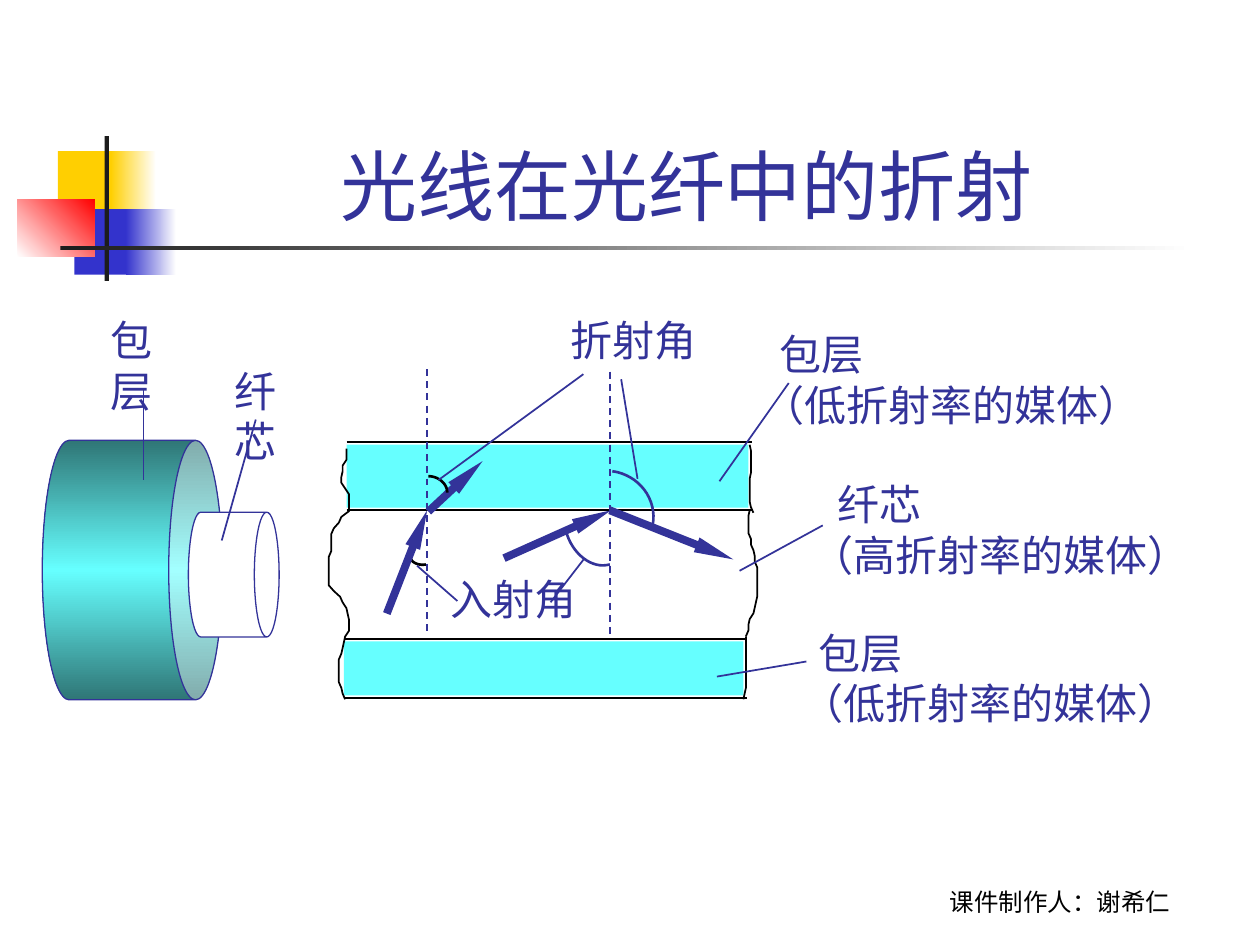
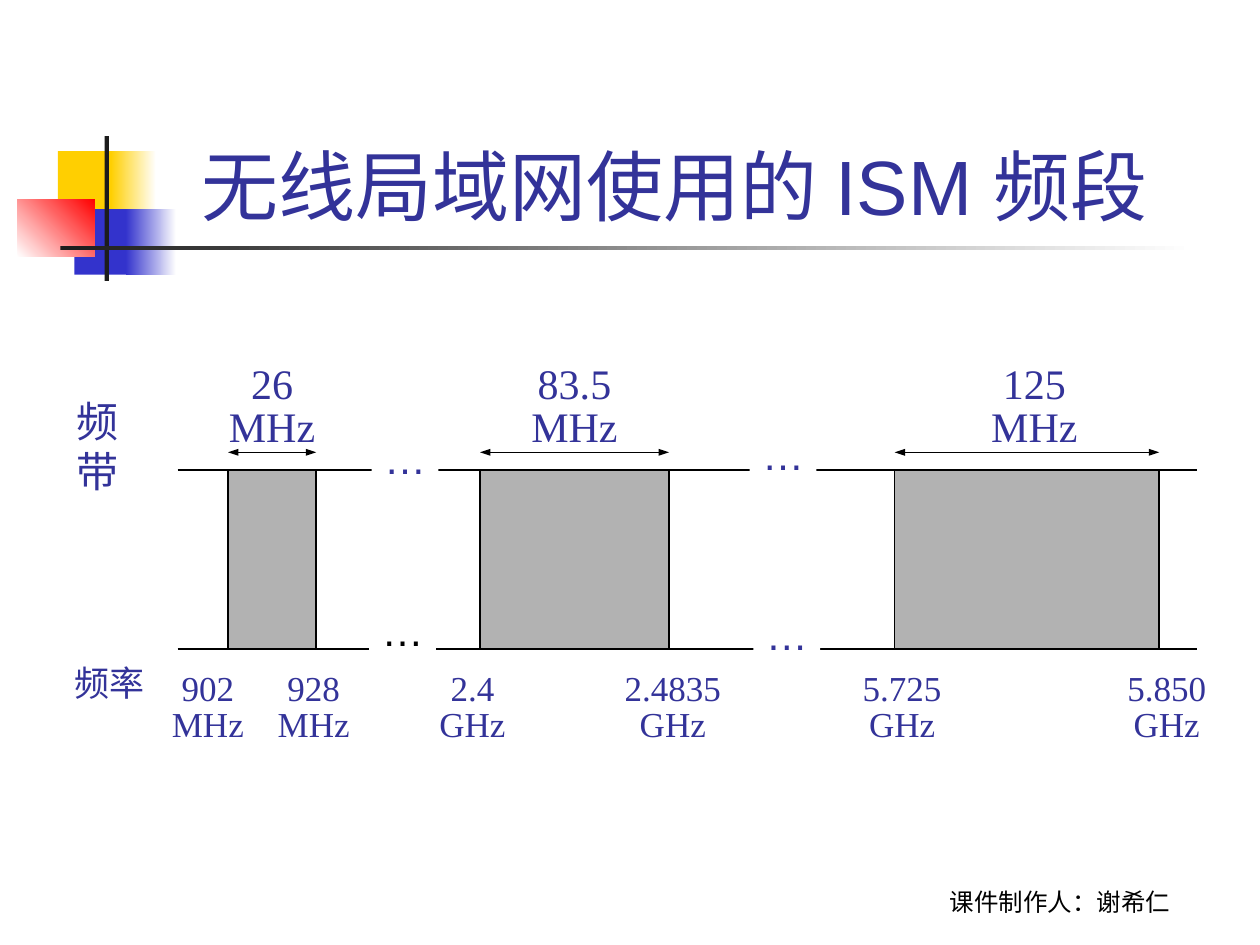
import pptx
import pptx.util
import pptx.dml.color
import pptx.enum.dml
import pptx.enum.shapes
import pptx.enum.text
import pptx.oxml.ns
import lxml.etree

INK = {
    "text": "333399", "black": "000000", "white": "FFFFFF", "gold": "FFCF01",
    "blue": "3333CC", "red": "FF0000", "dark": "1C1C1C", "aqua": "66FFFF",
    "teal": "2F7676", "gray": "B2B2B2",
}
COLS, ROWS = 100, 75
FORM = pptx.enum.shapes.MSO_SHAPE
ALIGN = pptx.enum.text.PP_ALIGN
ANCHOR = pptx.enum.text.MSO_ANCHOR


def tint(name):
    return pptx.dml.color.RGBColor.from_string(INK[name])


def node(parent, tag, **attrs):
    return lxml.etree.SubElement(parent, pptx.oxml.ns.qn(tag), attrs)


def write(frame, text, size=24, font="Arial", ink="text", align="LEFT",
          anchor="TOP", wrap=False, pad=(0.1, 0.05), space=None, indent=0):
    frame.word_wrap = wrap
    frame.vertical_anchor = ANCHOR[anchor]
    frame.margin_left = frame.margin_right = pptx.util.Inches(pad[0])
    frame.margin_top = frame.margin_bottom = pptx.util.Inches(pad[1])
    for i, words in enumerate(text.split("\n")):
        para = frame.add_paragraph() if i else frame.paragraphs[0]
        para.alignment = ALIGN[align]
        if space:
            para.line_spacing = space
        if indent and i == 0:
            para._p.get_or_add_pPr().set("marL", str(pptx.util.Inches(indent)))
        run = para.add_run()
        run.text = words
        run.font.size = pptx.util.Pt(size)
        run.font.name = font
        run.font.color.rgb = tint(ink)


class Deck:
    def __init__(self):
        self.show = pptx.Presentation()
        self.show.slide_width = pptx.util.Inches(10)
        self.show.slide_height = pptx.util.Inches(7.5)
        self.slide = None

    def x(self, col):
        return int(self.show.slide_width * col / COLS)

    def y(self, row):
        return int(self.show.slide_height * row / ROWS)

    def box(self, at):
        left, top, width, height = at
        return self.x(left), self.y(top), self.x(width), self.y(height)

    def page(self, title, left=12.6, align="CENTER"):
        self.slide = self.show.slides.add_slide(self.show.slide_layouts[6])
        self.shape((4.6, 12, 4.8, 5.2), "gold")
        self.shape((8.8, 12, 3.6, 5.2), ("gold", "white"))
        self.shape((5.9, 16.6, 4.6, 5.2), "blue")
        self.shape((10, 16.6, 4, 5.2), ("blue", "white"))
        self.shape((1.4, 15.8, 6.1, 4.6), ("white", "red"), angle=315)
        self.shape((8.3, 10.8, 0.35, 11.5), "dark")
        self.shape((4.8, 19.5, 90, 0.35), ("dark", "white"))
        self.text((68.3, 68.2, 31.7, 5), "课件制作人：谢希仁", size=14, font="Cabin",
                  ink="black", align="CENTER", anchor="BOTTOM", wrap=True)
        self.text((left, 2.3, 97.8 - left, 16), title, size=44, align=align,
                  anchor="BOTTOM", wrap=True, pad=(0, 0))

    def shape(self, at, fill, form="RECTANGLE", line=None, angle=0, turn=0, bend=None):
        item = self.slide.shapes.add_shape(FORM[form], *self.box(at))
        item.shadow.inherit = False
        item.rotation = turn
        if bend:
            item.adjustments[0] = bend
        if isinstance(fill, tuple):
            self.blend(item, fill, angle)
        else:
            item.fill.solid()
            item.fill.fore_color.rgb = tint(fill)
        if line:
            self.stroke(item, line, 0.75)
        else:
            item.line.fill.background()
        return item

    def blend(self, item, inks, angle):
        item.fill.gradient()
        item.fill.gradient_angle = -angle % 360
        stops = item._element.spPr.find(".//" + pptx.oxml.ns.qn("a:gsLst"))
        for stop in list(stops):
            stops.remove(stop)
        for i, ink in enumerate(inks):
            stop = node(stops, "a:gs", pos=str(100000 * i // (len(inks) - 1)))
            node(stop, "a:srgbClr", val=INK[ink])

    def stroke(self, item, ink, width):
        item.line.color.rgb = tint(ink)
        item.line.width = pptx.util.Pt(width)

    def text(self, at, words, fill=None, **style):
        if fill:
            item = self.shape(at, fill)
        else:
            item = self.slide.shapes.add_textbox(*self.box(at))
        write(item.text_frame, words, **style)

    def line(self, x1, y1, x2, y2, ink="text", width=1, dash=False, ends=(), long="med"):
        item = self.slide.shapes.add_connector(
            pptx.enum.shapes.MSO_CONNECTOR.STRAIGHT,
            self.x(x1), self.y(y1), self.x(x2), self.y(y2))
        self.stroke(item, ink, width)
        if dash:
            item.line.dash_style = pptx.enum.dml.MSO_LINE.DASH
        for end in ends:
            node(item.line._get_or_add_ln(), end, type="triangle", w="sm", len=long)
        node(item._element.spPr, "a:effectLst")

    def curve(self, points, ink="black", width=1):
        spots = [(self.x(a), self.y(b)) for a, b in points]
        pen = self.slide.shapes.build_freeform(*spots[0])
        pen.add_line_segments(spots[1:], close=False)
        item = pen.convert_to_shape()
        item.shadow.inherit = False
        item.fill.background()
        self.stroke(item, ink, width)

    def edge(self, top, foot, cols):
        step = (foot - top) / (len(cols) - 1)
        self.curve([(col, top + i * step) for i, col in enumerate(cols)])

    def arc(self, a, b, c, d, ink="text", steps=16):
        points = []
        for i in range(steps + 1):
            t = i / steps
            parts = ((1 - t) ** 3, 3 * t * (1 - t) ** 2, 3 * t * t * (1 - t), t ** 3)
            points.append([sum(k * p[n] for k, p in zip(parts, (a, b, c, d)))
                           for n in (0, 1)])
        self.curve(points, ink, 1.5)


def fiber(deck):
    deck.page("光线在光纤中的折射 ")
    deck.arc((33.8, 44.8), (33.3, 44.9), (32.7, 44.7), (32.6, 44.3), "black")

    for left, right, top, foot in ((27.5, 59.7, 35.1, 40.5), (27.3, 59.3, 50.7, 55.4)):
        for row in (top, foot):
            deck.line(left, row, right, row, "black")
        deck.shape((left, top + 0.2, right - left - 0.3, foot - top - 0.4), "aqua")

    for col, top in ((33.9, 29.3), (48.4, 29.5)):
        deck.line(col, top, col, top + 21.2, dash=True)
    for ray in ((34, 40.6, 38.3, 36.6), (30.7, 48.7, 33.9, 40.5),
                (40, 44.3, 48.5, 40.5), (48.4, 40.5, 58.2, 44.4)):
        deck.line(*ray, width=4.5, ends=("a:tailEnd",), long="lg")
    deck.arc((34, 37.8), (34.8, 37.8), (35.5, 38.4), (35.5, 39.1), "black")
    deck.arc((48.4, 44.8), (47, 45.2), (45.4, 44), (44.9, 42.1))
    deck.arc((48.6, 37.4), (50.7, 37.7), (52.2, 39.6), (51.8, 41.7))

    deck.edge(35.6, 55.5, [27.5] * 3 + [27.2] * 2 + [27.1] * 2 + [27.4] + [27.7] * 4
              + [27.1, 26.9, 26.5] + [26.3] * 4 + [26.1] * 6
              + [26.5, 27, 27.2, 27.5, 27.6] + [27.7] * 3
              + [27.4, 27.3, 27.2, 27.1] + [26.9] * 5 + [27.1, 27.2, 27.4])
    deck.edge(35.3, 40.7, [59.5] + [59.6] * 5 + [59.5] * 5 + [59.6, 59.8])
    deck.edge(40.5, 50.5, [59.5] + [59.4] * 4 + [59.6] * 2 + [59.8] + [59.9] * 2
              + [60.1] * 6 + [60, 59.9, 59.8, 59.5, 59.4, 59.4, 59.2])
    deck.edge(50.5, 55.5, [59.2] * 10 + [59.1, 59])

    deck.shape((0.2, 38.1, 20.6, 14.3), ("teal", "aqua", "teal"), "CAN", "text",
               turn=90, bend=0.298)
    deck.shape((13.6, 42, 9.9, 7.2), "white", "CAN", "text", turn=90, bend=0.273)

    deck.text((44.3, 24.5, 12, 5), "折射角")
    deck.text((34.8, 45, 12, 5), "入射角")
    deck.text((7.8, 24.5, 8.6, 5), "包层")
    deck.text((17.6, 28.5, 7.6, 9), "纤芯", wrap=True)
    for left, top in ((59.5, 25.6), (62.6, 49.3)):
        deck.text((left, top, 32, 9), "包层\n（低折射率的媒体）", indent=0.14)
    deck.text((63.4, 37.5, 34.8, 13), "纤芯\n（高折射率的媒体）", wrap=True, indent=0.21)

    for lead in ((49.3, 30.1, 50.6, 38), (34.8, 38.1, 46.3, 29.7),
                 (33.1, 44.9, 36.3, 47.7), (43.7, 47.8, 46.4, 44.3),
                 (58.7, 45.3, 65.3, 41.7), (62.6, 30.4, 57.1, 38.2),
                 (64, 52.5, 56.9, 53.7), (11.4, 30.9, 11.4, 38.1),
                 (20.3, 33.3, 17.6, 42.9)):
        deck.line(*lead)


def bands(deck):
    deck.page("无线局域网使用的 ISM 频段", left=16, align="LEFT")
    top, foot = 37.3, 51.5
    for row in (top, foot):
        deck.line(14.1, row, 95, row, "black", 0.75)

    deck.text((5.1, 30.9, 8.6, 5), "频带")
    deck.text((4.9, 52, 7.6, 4.4), "频率", size=20)
    style = {"font": "Times New Roman", "align": "CENTER", "space": 0.85}
    for left, wide, mid, label in ((18.1, 7, 21.6, "26"), (38.1, 15, 45.6, "83.5"),
                                   (71, 21, 82.1, "125")):
        deck.shape((left, top, wide, foot - top), "gray", line="black")
        deck.line(left, 35.9, left + wide, 35.9, "black", 0.75,
                  ends=("a:headEnd", "a:tailEnd"))
        deck.text((mid - 5, 28.5, 10, 7.8), label + "\nMHz", **style)
    for mid, label in ((16.5, "902\nMHz"), (24.9, "928\nMHz"), (37.5, "2.4\nGHz"),
                       (53.4, "2.4835\nGHz"), (71.6, "5.725\nGHz"), (92.6, "5.850\nGHz")):
        deck.text((mid - 5, 52.9, 10, 6.7), label, size=20, **style)

    for left, row, ink in ((29.5, 33.8, "text"), (29.3, 47.5, "black"),
                           (59.5, 33.5, "text"), (59.8, 47.8, "text")):
        deck.text((left, row, 5.3, 5), "…", fill="white", ink=ink)


def main():
    deck = Deck()
    fiber(deck)
    bands(deck)
    deck.show.save("out.pptx")


if __name__ == "__main__":
    main()
